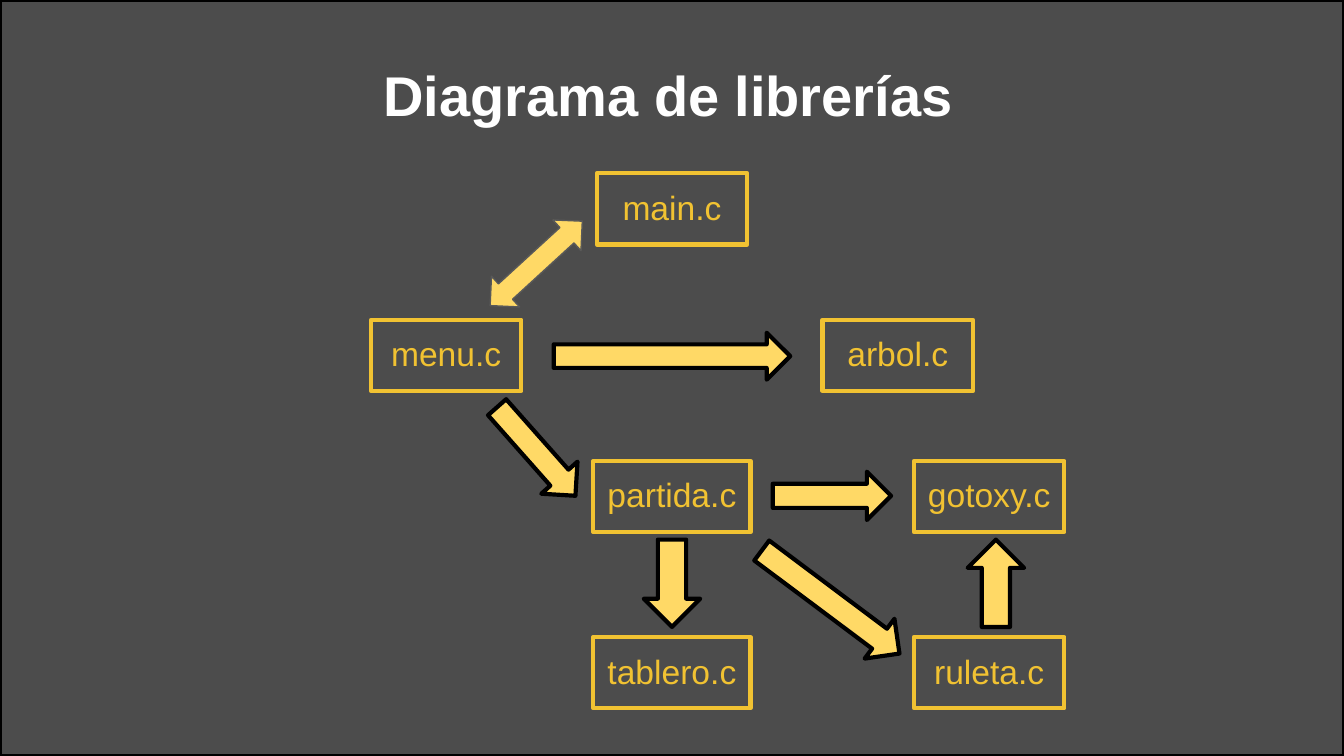
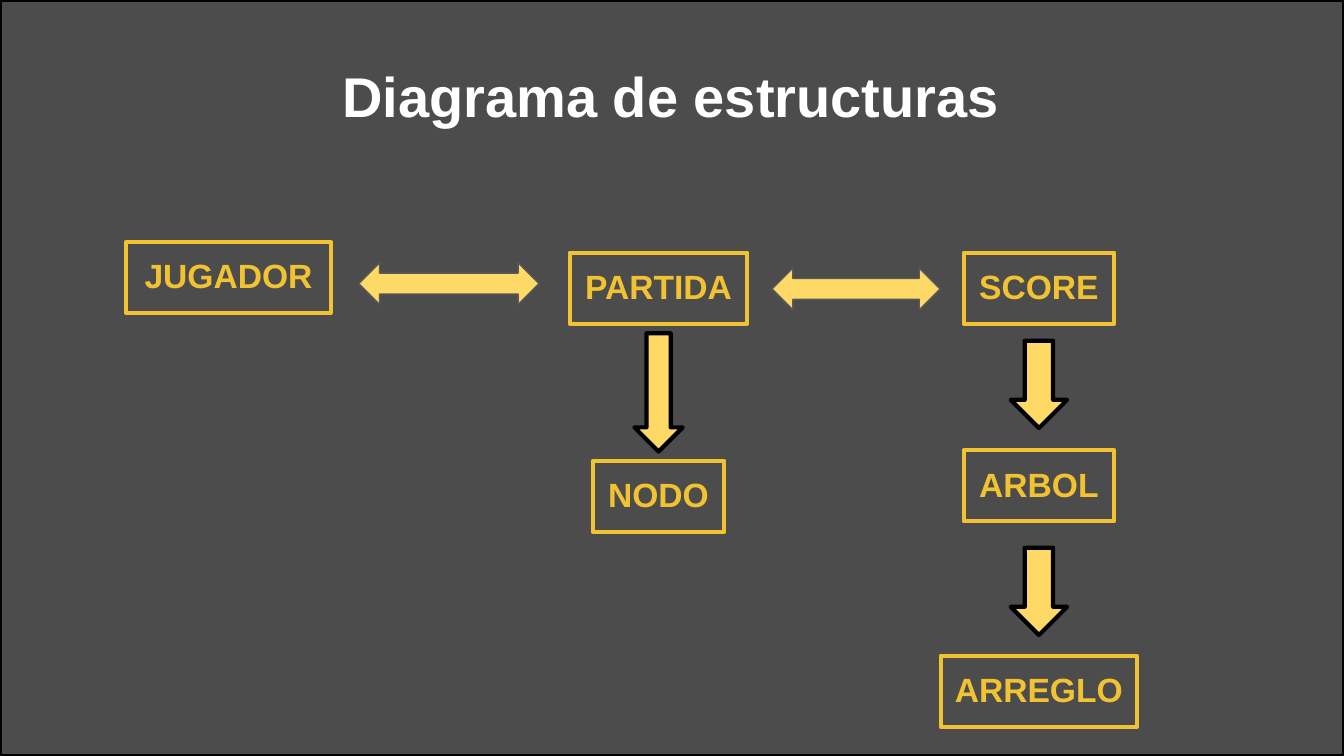
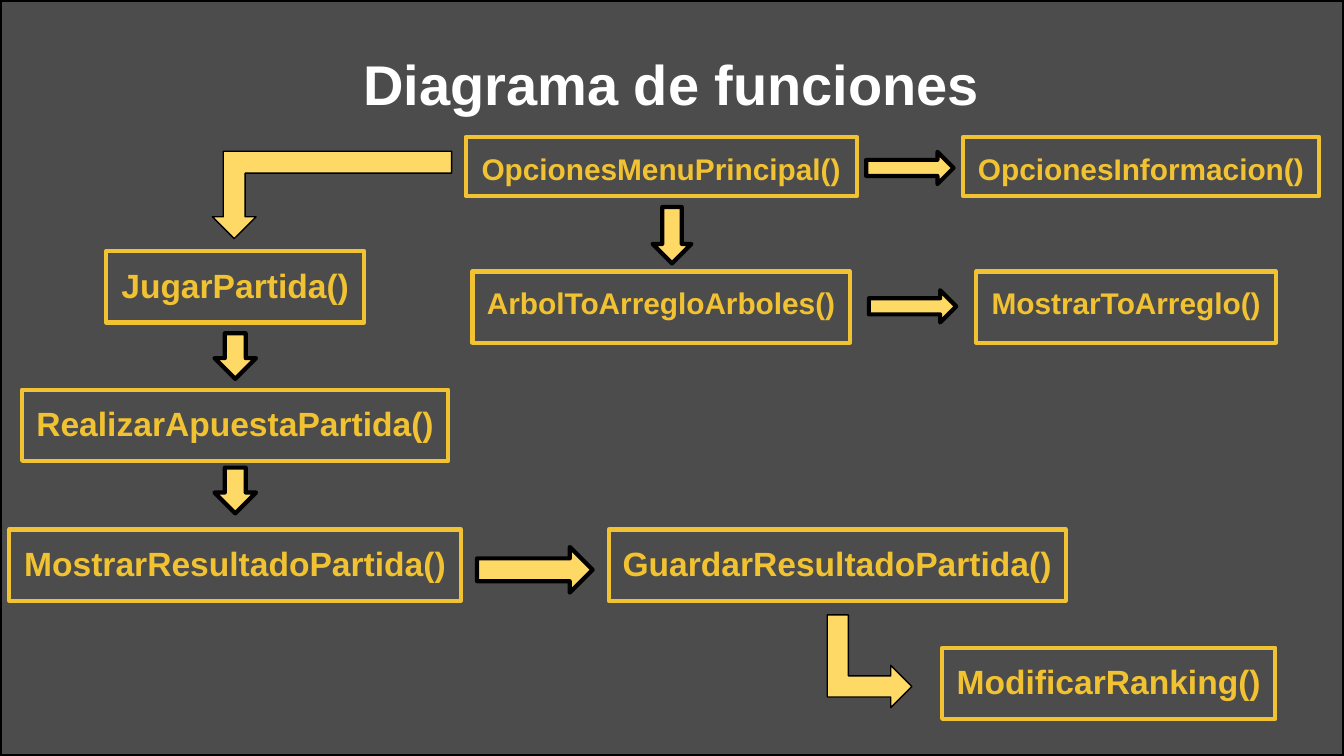
import pptx
import pptx.dml.color
import pptx.enum.shapes
import pptx.enum.text
import pptx.util
from lxml import etree
from pptx.oxml.ns import qn

Inches = pptx.util.Inches
MSO = pptx.enum.shapes.MSO_SHAPE
ALIGN = pptx.enum.text.PP_ALIGN
WIDTH = 10
HEIGHT = WIDTH * 9 / 16
FONT = "Arial"
BLACK, WHITE, GOLD, YELLOW, GRAY = "000000", "FFFFFF", "F1C232", "FFD966", "595959"
RIGHT, DOWN, UP = 0, 90, 270


def color(code):
    """Turn a hex string into an RGB colour."""
    return pptx.dml.color.RGBColor.from_string(code)


def add_outlined(slide, kind, box, line, weight, fill=None):
    """Add a shape without shadow, with an outline and an optional fill."""
    sp = slide.shapes.add_shape(kind, *[Inches(v) for v in box])
    sp.shadow.inherit = False
    if fill:
        sp.fill.solid()
        sp.fill.fore_color.rgb = color(fill)
    else:
        sp.fill.background()
    sp.line.color.rgb = color(line)
    sp.line.width = pptx.util.Pt(weight)
    return sp


def write(sp, text, size, code, bold, align, wrap):
    """Write one line of text from the top of a shape."""
    tf = sp.text_frame
    tf.word_wrap = wrap
    tf.vertical_anchor = pptx.enum.text.MSO_ANCHOR.TOP
    tf.margin_left = tf.margin_right = tf.margin_top = tf.margin_bottom = Inches(0.1)
    p = tf.paragraphs[0]
    p.alignment = align
    r = p.add_run()
    r.text = text
    r.font.name = FONT
    r.font.size = pptx.util.Pt(size)
    r.font.bold = bold
    r.font.color.rgb = color(code)


def add_diagram_slide(prs, title, top, width):
    """Add a slide with the dark veil and a centred title box."""
    slide = prs.slides.add_slide(prs.slide_layouts[6])
    slide.background.fill.solid()
    slide.background.fill.fore_color.rgb = color(WHITE)
    veil = add_outlined(slide, MSO.RECTANGLE, (0, 0, WIDTH, HEIGHT), BLACK, 2.25, BLACK)
    clr = veil.fill._xPr.find(qn("a:solidFill")).find(qn("a:srgbClr"))
    etree.SubElement(clr, qn("a:alpha")).set("val", "70000")
    box = ((WIDTH - width) / 2, top, width, 0.53)
    sp = slide.shapes.add_textbox(*[Inches(v) for v in box])
    write(sp, title, 30, WHITE, True, ALIGN.LEFT, True)
    return slide


def add_node(slide, text, cx, top, width, height=0.53, size=18, bold=True):
    """Add a gold framed node centred on cx."""
    box = (cx - width / 2, top, width, height)
    sp = add_outlined(slide, MSO.RECTANGLE, box, GOLD, 2.25)
    write(sp, text, size, GOLD, bold, ALIGN.CENTER, False)


def add_arrow(slide, cx, cy, length, thickness, angle=RIGHT,
              kind=MSO.RIGHT_ARROW, line=BLACK, weight=2.25):
    """Add a yellow block arrow centred on a point and turned by angle."""
    box = (cx - length / 2, cy - thickness / 2, length, thickness)
    add_outlined(slide, kind, box, line, weight, YELLOW).rotation = angle


def add_double_arrow(slide, cx, cy, length, angle=RIGHT):
    """Add a thin-lined arrow with two heads."""
    add_arrow(slide, cx, cy, length, 0.31, angle, MSO.LEFT_RIGHT_ARROW, GRAY, 0.75)


def add_bent_arrow(slide, cx, cy, length, thickness, angle):
    """Add a thin-lined arrow with a right-angled bend."""
    add_arrow(slide, cx, cy, length, thickness, angle, MSO.BENT_UP_ARROW, BLACK, 0.75)


def build_libraries(prs):
    """Build the diagram of source files."""
    slide = add_diagram_slide(prs, "Diagrama de librerías", 0.35, 4.49)
    middle, right = 5, 7.36
    menu_row, game_row, bottom_row = 2.38, 3.43, 4.74
    for text, cx, top, width in [
        ("main.c", middle, 1.29, 1.12),
        ("arbol.c", 6.68, menu_row, 1.12),
        ("menu.c", 3.32, menu_row, 1.12),
        ("partida.c", middle, game_row, 1.17),
        ("tablero.c", middle, bottom_row, 1.17),
        ("gotoxy.c", right, game_row, 1.12),
        ("ruleta.c", right, bottom_row, 1.12),
    ]:
        add_node(slide, text, cx, top, width, bold=False)
    add_double_arrow(slide, 3.99, 1.96, 0.93, 317.5)
    for arrow in [
        (middle, 2.65, 1.76, 0.35),
        (3.99, 3.36, 0.88, 0.36, 48.5),
        (6.19, 3.69, 0.88, 0.36),
        (6.18, 4.48, 1.28, 0.37, 36.8),
        (middle, 4.34, 0.65, 0.42, DOWN),
        (7.41, 4.34, 0.65, 0.42, UP),
    ]:
        add_arrow(slide, *arrow)


def build_structures(prs):
    """Build the diagram of data structures."""
    slide = add_diagram_slide(prs, "Diagrama de estructuras", 0.36, 5.1)
    middle, right = 4.9, 7.73
    for node in [
        ("JUGADOR", 1.7, 1.8, 1.52),
        ("PARTIDA", middle, 1.88, 1.32),
        ("NODO", middle, 3.43, 0.98),
        ("ARREGLO", right, 4.88, 1.46),
        ("SCORE", right, 1.88, 1.12),
        ("ARBOL", right, 3.35, 1.12),
    ]:
        add_node(slide, *node)
    add_double_arrow(slide, 3.34, 2.11, 1.34)
    add_double_arrow(slide, 6.37, 2.15, 1.25)
    add_arrow(slide, middle, 2.92, 0.88, 0.36, DOWN)
    for cy in (2.86, 4.4):
        add_arrow(slide, right, cy, 0.65, 0.42, DOWN)


def build_functions(prs):
    """Build the diagram of function calls."""
    slide = add_diagram_slide(prs, "Diagrama de funciones", 0.27, 4.79)
    left, middle = 1.75, 4.92
    for node in [
        ("OpcionesMenuPrincipal()", middle, 1.02, 2.91, 0.44, 16),
        ("OpcionesInformacion()", 8.49, 1.02, 2.65, 0.44, 16),
        ("ArbolToArregloArboles()", middle, 2.02, 2.81, 0.53, 16),
        ("MostrarToArreglo()", 8.38, 2.02, 2.23, 0.53, 16),
        ("JugarPartida()", left, 1.87, 1.92),
        ("RealizarApuestaPartida()", left, 2.9, 3.17),
        ("MostrarResultadoPartida()", left, 3.94, 3.36),
        ("GuardarResultadoPartida()", 6.23, 3.94, 3.4),
        ("ModificarRanking()", 8.25, 4.82, 2.48),
    ]:
        add_node(slide, *node)
    for arrow in [
        (5, 1.75, 0.42, 0.29, DOWN),
        (6.77, 1.25, 0.65, 0.24),
        (6.79, 2.28, 0.65, 0.24),
        (left, 2.65, 0.34, 0.31, DOWN),
        (left, 3.65, 0.34, 0.31, DOWN),
        (3.98, 4.24, 0.86, 0.34),
    ]:
        add_arrow(slide, *arrow)
    add_bent_arrow(slide, 2.47, 1.45, 1.78, 0.65, 180)
    add_bent_arrow(slide, 6.47, 4.92, 0.69, 0.63, 90)


def main():
    """Build and save the presentation."""
    prs = pptx.Presentation()
    prs.slide_width, prs.slide_height = Inches(WIDTH), Inches(HEIGHT)
    build_libraries(prs)
    build_structures(prs)
    build_functions(prs)
    prs.save("out.pptx")


if __name__ == "__main__":
    main()
